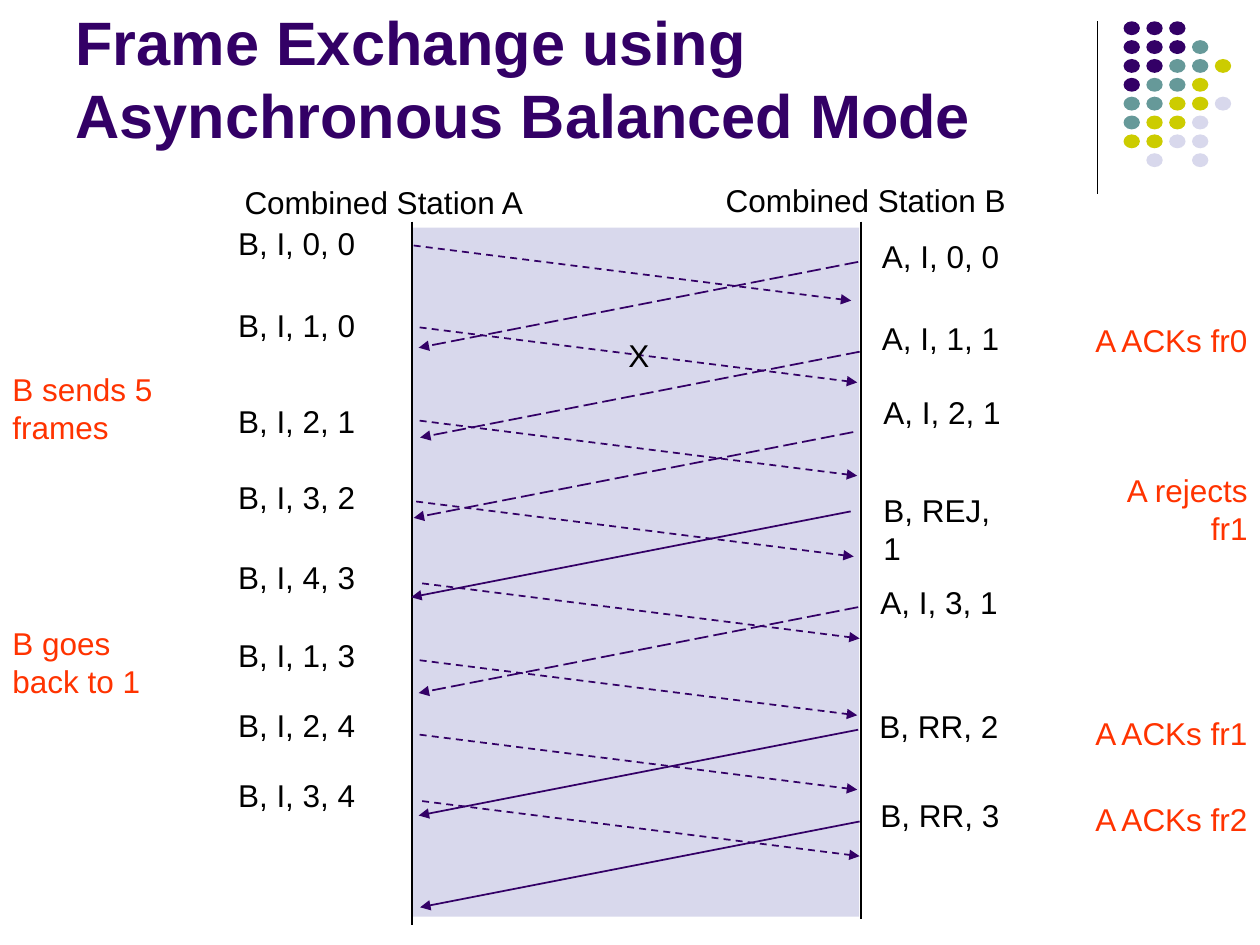
import collections

import pptx
import pptx.dml.color
import pptx.enum.dml
import pptx.enum.shapes
import pptx.enum.text
import pptx.oxml.ns
import pptx.util
from lxml import etree

Cm = pptx.util.Cm
Pt = pptx.util.Pt
RGBColor = pptx.dml.color.RGBColor
Dash = pptx.enum.dml.MSO_LINE
Preset = pptx.enum.shapes.MSO_SHAPE
Align = pptx.enum.text.PP_ALIGN
Anchor = pptx.enum.text.MSO_ANCHOR
AutoSize = pptx.enum.text.MSO_AUTO_SIZE
qn = pptx.oxml.ns.qn

BLACK = RGBColor(0x00, 0x00, 0x00)
PURPLE = RGBColor(0x33, 0x00, 0x66)
TEAL = RGBColor(0x66, 0x99, 0x99)
OLIVE = RGBColor(0xCC, 0xCC, 0x00)
LAVENDER = RGBColor(0xD8, 0xD8, 0xEC)
RED = RGBColor(0xFF, 0x33, 0x00)

DOT_COLORS = {"P": PURPLE, "T": TEAL, "O": OLIVE, "L": LAVENDER}
DOT_ROWS = ["PPP", "PPPT", "PPTTO", "PTTO", "TTOOL", "TOOL", "OOLL", " L L"]

Box = collections.namedtuple("Box", "left top width height")

FRAMES_FROM_A = [
    ("B, I, 0, 0", -0.08, 0.03, 0.48),
    ("B, I, 1, 0", 1.57, 0.15, 2.13),
    ("B, I, 2, 1", 3.51, 0.15, 4.01),
    ("B, I, 3, 2", 5.05, 0.08, 5.64),
    ("B, I, 4, 3", 6.65, 0.2, 7.29),
    ("B, I, 1, 3", 8.23, 0.15, 8.84),
    ("B, I, 2, 4", 9.63, 0.15, 10.34),
    ("B, I, 3, 4", 11.05, 0.2, 11.68),
]
FRAMES_FROM_B = [
    ("A, I, 0, 0", 9.22, 0.18, 2.87, 8.99, 0.81, Dash.LONG_DASH),
    ("A, I, 1, 1", 9.22, 1.83, 2.87, 9.02, 2.62, Dash.LONG_DASH),
    ("A, I, 2, 1", 9.25, 3.33, 2.87, 8.89, 4.24, Dash.LONG_DASH),
    ("B, REJ, 1", 9.25, 5.31, 3.18, 8.84, 5.84, None),
    ("A, I, 3, 1", 9.19, 7.16, 2.87, 8.99, 7.77, Dash.LONG_DASH),
    ("B, RR, 2", 9.17, 9.65, 2.9, 8.99, 10.24, None),
    ("B, RR, 3", 9.19, 11.46, 2.9, 9.02, 12.09, None),
]
NOTES_ON_A = [("B sends 5 frames", 7.34, 1.78), ("B goes back to 1", 12.45, 1.78)]
NOTES_ON_B = [
    ("A ACKs fr0", 6.35, 1.02),
    ("A rejects fr1", 9.37, 1.78),
    ("A ACKs fr1", 14.27, 1.02),
    ("A ACKs fr2", 16, 1.02),
]


def add_text(page, text, box, size=18, color=BLACK, bold=False, align=Align.LEFT,
             anchor=Anchor.TOP, wrap=True, fit=AutoSize.SHAPE_TO_FIT_TEXT):
    """Add a text box holding one formatted paragraph."""
    frame = page.shapes.add_textbox(*map(Cm, box)).text_frame
    frame.word_wrap = wrap
    frame.auto_size = fit
    frame.vertical_anchor = anchor
    para = frame.paragraphs[0]
    para.alignment = align
    span = para.add_run()
    span.text = text
    span.font.name = "Arial"
    span.font.size = Pt(size)
    span.font.bold = bold
    span.font.color.rgb = color


def add_solid(page, preset, box, color):
    """Add a filled shape without outline or shadow."""
    shape = page.shapes.add_shape(preset, *map(Cm, box))
    shape.shadow.inherit = False
    shape.fill.solid()
    shape.fill.fore_color.rgb = color
    shape.line.fill.background()


def add_line(page, start, end, color=BLACK, width=1, dash=None, arrow=False):
    """Add a straight line, optionally dashed and ending in an arrowhead."""
    straight = pptx.enum.shapes.MSO_CONNECTOR.STRAIGHT
    line = page.shapes.add_connector(straight, *map(Cm, start + end))
    line.line.color.rgb = color
    line.line.width = Pt(width)
    if dash is not None:
        line.line.dash_style = dash
    properties = line._element.spPr
    if arrow:
        etree.SubElement(properties.find(qn("a:ln")), qn("a:tailEnd"), type="triangle")
    etree.SubElement(properties, qn("a:effectLst"))


def build_ornament(page, box):
    """Place the vertical rule and the grid of coloured dots."""
    add_line(page, (box.left, box.top), (box.left, box.top + box.height), width=0.75)
    for row, letters in enumerate(DOT_ROWS):
        for column, letter in enumerate(letters):
            if letter in DOT_COLORS:
                dot = Box(box.left + 0.53 + column * 0.46, box.top + row * 0.38, 0.33, 0.28)
                add_solid(page, Preset.OVAL, dot, DOT_COLORS[letter])


def build_title(page, box):
    """Place the heading at the bottom of its box."""
    add_text(page, "Frame Exchange using Asynchronous Balanced Mode", box, size=35,
             color=PURPLE, bold=True, anchor=Anchor.BOTTOM, fit=AutoSize.NONE)


def build_exchange(page, box):
    """Place the two station lines with the frames that pass between them."""
    left, top, width, height = box

    def label(text, x, y, label_width):
        """Add a one-line label at an offset from the exchange box."""
        add_text(page, text, Box(left + x, top + y, label_width, 1.02), wrap=False)

    def send(x, y, run, drop, dash):
        """Add an arrow from an offset within the exchange box."""
        start = (left + x, top + y)
        end = (start[0] + run, start[1] + drop)
        add_line(page, start, end, PURPLE, dash=dash, arrow=True)

    add_solid(page, Preset.RECTANGLE, Box(left + 0.02, top + 0.12, 8.99, 13.89), LAVENDER)
    add_line(page, (left, top), (left, top + height))
    add_line(page, (left + width, top), (left + width, top + height - 0.12))
    label("Combined Station A", -3.63, -0.91, 6.15)
    label("Combined Station B", 6.07, -0.94, 6.15)
    for text, label_y, x, y in FRAMES_FROM_A:
        label(text, -3.76, label_y, 2.87)
        send(x, y, 8.82, 1.11, Dash.DASH)
    for text, label_x, label_y, label_width, x, y, dash in FRAMES_FROM_B:
        label(text, label_x, label_y, label_width)
        send(x, y, -8.86, 1.73, dash)
    label("X", 4.11, 2.18, 0.94)


def build_notes(page, box, notes, align):
    """Place a column of red remarks beside the exchange."""
    for text, y, height in notes:
        note = Box(box.left, box.top + y, box.width, height)
        add_text(page, text, note, color=RED, align=align)


def main():
    """Build the deck and save it."""
    deck = pptx.Presentation()
    deck.slide_width, deck.slide_height = Cm(25.4), Cm(19.05)
    page = deck.slides.add_slide(deck.slide_layouts[6])
    build_ornament(page, Box(22.12, 0.43, 2.7, 3.48))
    build_exchange(page, Box(8.31, 4.47, 9.04, 14.17))
    build_title(page, Box(1.27, 0.33, 20.96, 2.84))
    build_notes(page, Box(0, 0, 3.66, 19.05), NOTES_ON_A, Align.LEFT)
    build_notes(page, Box(21.74, 0, 3.66, 19.05), NOTES_ON_B, Align.RIGHT)
    deck.save("out.pptx")


if __name__ == "__main__":
    main()
